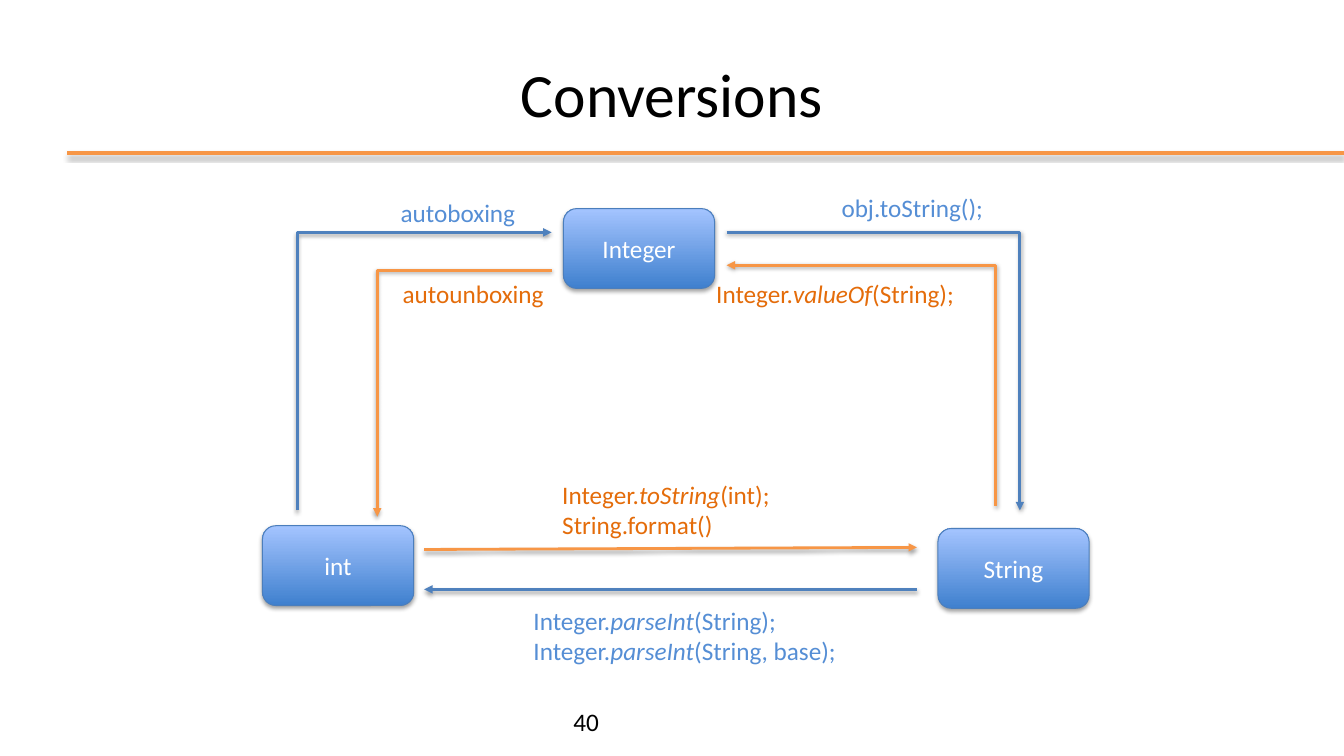
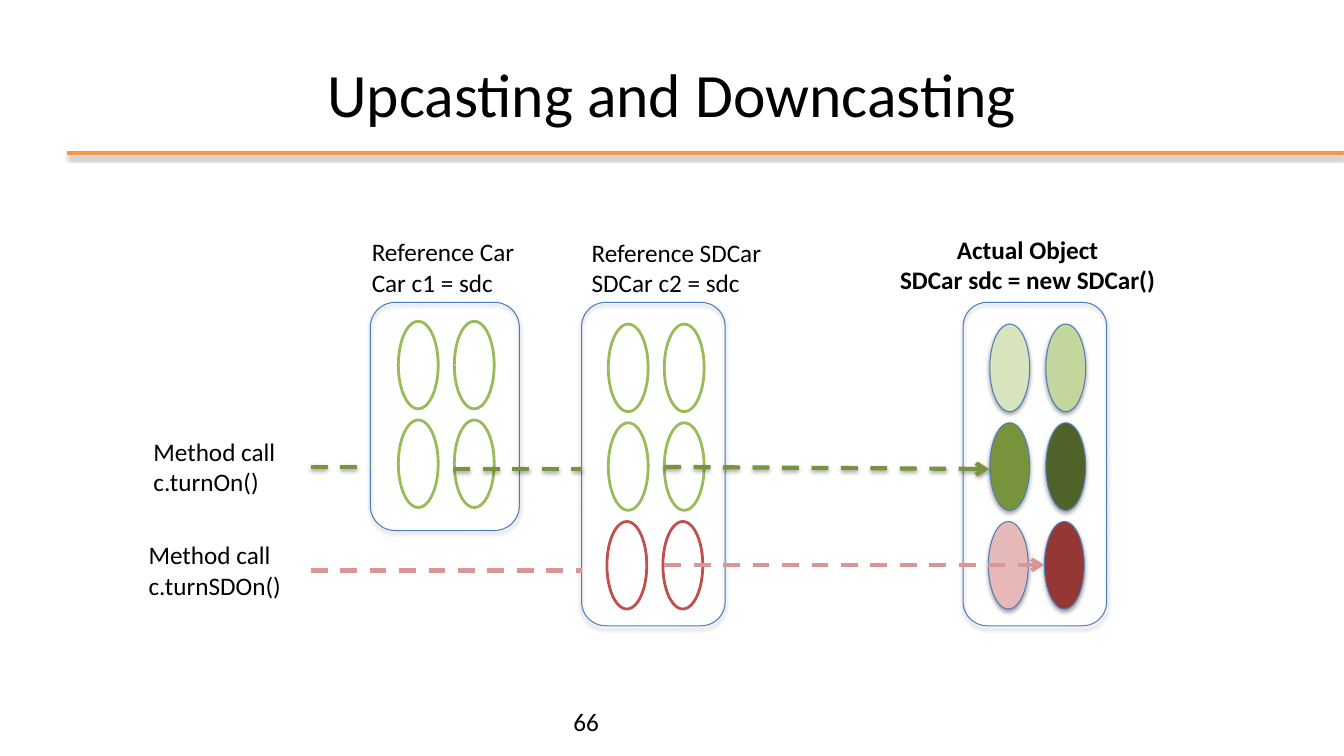
from dataclasses import dataclass

from lxml.etree import SubElement
from pptx import Presentation
from pptx.dml.color import RGBColor
from pptx.enum.dml import MSO_LINE
from pptx.enum.shapes import MSO_CONNECTOR, MSO_SHAPE
from pptx.enum.text import MSO_ANCHOR, PP_ALIGN
from pptx.oxml.ns import qn
from pptx.util import Pt


@dataclass(frozen=True)
class Theme:
    font: str = "Calibri"
    title_size: float = 44
    body_size: float = 18
    black: str = "000000"
    white: str = "FFFFFF"
    orange: str = "F79646"
    orange_text: str = "E46C0A"
    blue: str = "4F81BD"
    blue_text: str = "558ED5"
    outline: str = "4B7EBC"
    grad_bottom: str = "3F80CE"
    grad_top: str = "A4C4FF"
    green: str = "9BBB59"
    red: str = "C0504D"
    green_call: str = "77933C"
    red_call: str = "D99694"
    members: tuple = ("D7E4BD", "C3D69B", "77933C", "4F6228", "E6B9B8", "953735")


T = Theme()


def rgb(value):
    return RGBColor.from_string(value)


def write(tf, text, *, size=T.body_size, color=T.black, bold=False,
          align=PP_ALIGN.LEFT, anchor=MSO_ANCHOR.TOP):
    """Fill a text frame; a newline starts a paragraph, *...* is italic."""
    tf.word_wrap = True
    tf.vertical_anchor = anchor
    for i, line in enumerate(text.split("\n")):
        p = tf.add_paragraph() if i else tf.paragraphs[0]
        p.alignment = align
        for j, part in enumerate(line.split("*")):
            r = p.add_run()
            r.text = part
            r.font.name = T.font
            r.font.size = Pt(size)
            r.font.bold = bold
            r.font.italic = j % 2 == 1
            r.font.color.rgb = rgb(color)


def set_shadow(sp, dist):
    """Give a finished shape a soft shadow below it, or none if dist is 0."""
    effects = SubElement(sp._element.spPr, qn("a:effectLst"))
    if dist:
        outer = SubElement(effects, qn("a:outerShdw"), blurRad=str(Pt(3.1)),
                           dist=str(Pt(dist)), dir="5400000", rotWithShape="0")
        black = SubElement(outer, qn("a:srgbClr"), val=T.black)
        SubElement(black, qn("a:alpha"), val="36000")


class Deck:
    def __init__(self):
        self.prs = Presentation()
        self.prs.slide_width, self.prs.slide_height = Pt(960), Pt(540)
        self.s = None

    # Shared frame of every slide
    def slide(self, title, number):
        self.s = self.prs.slides.add_slide(self.prs.slide_layouts[6])
        self.line((48, 109.5), (960, 109.5), T.orange, width=3, shadow=1.8)
        self.text(48, 21.6, 864, 90, title, size=T.title_size,
                  align=PP_ALIGN.CENTER, anchor=MSO_ANCHOR.MIDDLE)
        self.text(402.5, 501, 509, 29, str(number))

    def text(self, x, y, w, h, text, **fmt):
        sp = self.s.shapes.add_textbox(Pt(x), Pt(y), Pt(w), Pt(h))
        write(sp.text_frame, text, **fmt)

    def shape(self, kind, x, y, w, h, fill=None, line=T.outline, width=0.75, shadow=1.8):
        sp = self.s.shapes.add_shape(kind, Pt(x), Pt(y), Pt(w), Pt(h))
        if fill is None:
            sp.fill.background()
        elif isinstance(fill, tuple):
            sp.fill.gradient()
            sp.fill.gradient_angle = 90
            for stop, color in zip(sp.fill.gradient_stops, fill):
                stop.color.rgb = rgb(color)
        else:
            sp.fill.solid()
            sp.fill.fore_color.rgb = rgb(fill)
        sp.line.color.rgb = rgb(line)
        sp.line.width = Pt(width)
        set_shadow(sp, shadow)
        return sp

    def type_box(self, x, y, text):
        sp = self.shape(MSO_SHAPE.ROUNDED_RECTANGLE, x, y, 108, 57,
                        fill=(T.grad_bottom, T.grad_top))
        write(sp.text_frame, text, color=T.white, align=PP_ALIGN.CENTER,
              anchor=MSO_ANCHOR.MIDDLE)

    def line(self, start, end, color, width=2, dash=False, arrow=None,
             end_type="triangle", shadow=1.6, bend=None):
        """Straight line, or an elbow turning at share `bend` of its width."""
        kind = MSO_CONNECTOR.STRAIGHT if bend is None else MSO_CONNECTOR.ELBOW
        c = self.s.shapes.add_connector(kind, *(Pt(v) for v in (*start, *end)))
        c.line.color.rgb = rgb(color)
        c.line.width = Pt(width)
        if dash:
            c.line.dash_style = MSO_LINE.DASH
        spPr = c._element.spPr
        if arrow:
            SubElement(spPr.find(qn("a:ln")), qn(f"a:{arrow}End"), type=end_type)
        if bend is not None:
            geom = spPr.find(qn("a:prstGeom"))
            guides = geom.find(qn("a:avLst"))
            if guides is None:
                guides = SubElement(geom, qn("a:avLst"))
            SubElement(guides, qn("a:gd"), name="adj1", fmla=f"val {bend * 100000}")
        set_shadow(c, shadow)

    def call(self, start, end, color, **fmt):
        self.line(start, end, color, width=3, dash=True, end_type="arrow", **fmt)

    def member_grid(self, x, y, fills, lines, **fmt):
        """Ovals in two columns; the third row sits one point to the left."""
        for i, (fill, line) in enumerate(zip(fills, lines)):
            row, col = divmod(i, 2)
            self.shape(MSO_SHAPE.OVAL, x + 40 * col - row // 2, y + 70.5 * row,
                       28.5, 62.5, fill=fill, line=line, **fmt)


def conversions(d):
    d.slide("Conversions", 40)

    # Types
    for x, y, name in ((187.5, 375.5, "int"), (402.5, 149, "Integer"),
                       (670, 377.5, "String")):
        d.type_box(x, y, name)

    # Elbows, each drawn from left to right
    for start, end, color, arrow, bend in (
            ((519, 166), (728.5, 364.5), T.blue, "tail", 1),
            ((212.5, 364.5), (394, 166), T.blue, "tail", 0),
            ((269.5, 369), (394, 193), T.orange, "head", 0),
            ((519, 189.5), (711, 361.5), T.orange, "head", 1)):
        d.line(start, end, color, arrow=arrow, bend=bend)

    # Arrows between int and String
    d.line((655, 421), (303, 421), T.blue, arrow="tail")
    d.line((303, 392.5), (655, 391), T.orange, arrow="tail")

    # Labels
    for x, y, w, h, color, label in (
            (374, 428.5, 232, 51, T.blue_text,
             "Integer.*parseInt*(String);\nInteger.*parseInt*(String, base);"),
            (394.5, 339, 192, 51, T.orange_text,
             "Integer.*toString*(int);\nString.format()"),
            (594, 134, 162, 29, T.blue_text, "obj.toString();"),
            (504.5, 195, 201, 29, T.orange_text, "Integer.*valueOf*(String);"),
            (280.5, 195, 201, 29, T.orange_text, "autounboxing"),
            (279, 137.5, 162, 29, T.blue_text, "autoboxing")):
        d.text(x, y, w, h, label, color=color)


def casting(d):
    d.slide("Upcasting and Downcasting", 66)

    # Members of the two references and of the object
    outlines = [T.green] * 4 + [T.red] * 2
    hollow = dict(width=2, shadow=0)
    d.member_grid(284.5, 229.5, [T.white] * 4, outlines, **hollow)
    d.member_grid(434.5, 231.5, [T.white] * 6, outlines, **hollow)
    d.member_grid(707, 231.5, T.members, [T.outline] * 6)

    # Frames around them
    for x, w, h in ((264.5, 106.5, 163), (415.5, 102.5, 231), (688, 102.5, 231)):
        d.shape(MSO_SHAPE.ROUNDED_RECTANGLE, x, 216, w, h)

    # Method calls
    d.call((222, 407.5), (415.5, 407.5), T.red_call, shadow=0)
    d.call((474.5, 403.5), (746, 403.5), T.red_call, shadow=0, arrow="tail")
    d.call((222, 333.5), (264.5, 333.5), T.green_call)
    d.call((324, 335), (415.5, 335), T.green_call)
    d.call((474.5, 333.5), (706.5, 335), T.green_call, arrow="tail")

    # Labels
    for x, y, w, label in ((258.5, 165.5, 125, "Reference Car\nCar c1 = sdc"),
                           (415.5, 166, 150, "Reference SDCar\nSDCar c2 = sdc"),
                           (102.5, 308, 115, "Method call\nc.turnOn()"),
                           (99, 382, 120, "Method call\nc.turnSDOn()")):
        d.text(x, y, w, 51, label)
    d.text(632, 163.5, 204, 51, "Actual Object\nSDCar sdc = new SDCar()",
           bold=True, align=PP_ALIGN.CENTER)


def main():
    d = Deck()
    conversions(d)
    casting(d)
    d.prs.save("out.pptx")


if __name__ == "__main__":
    main()
